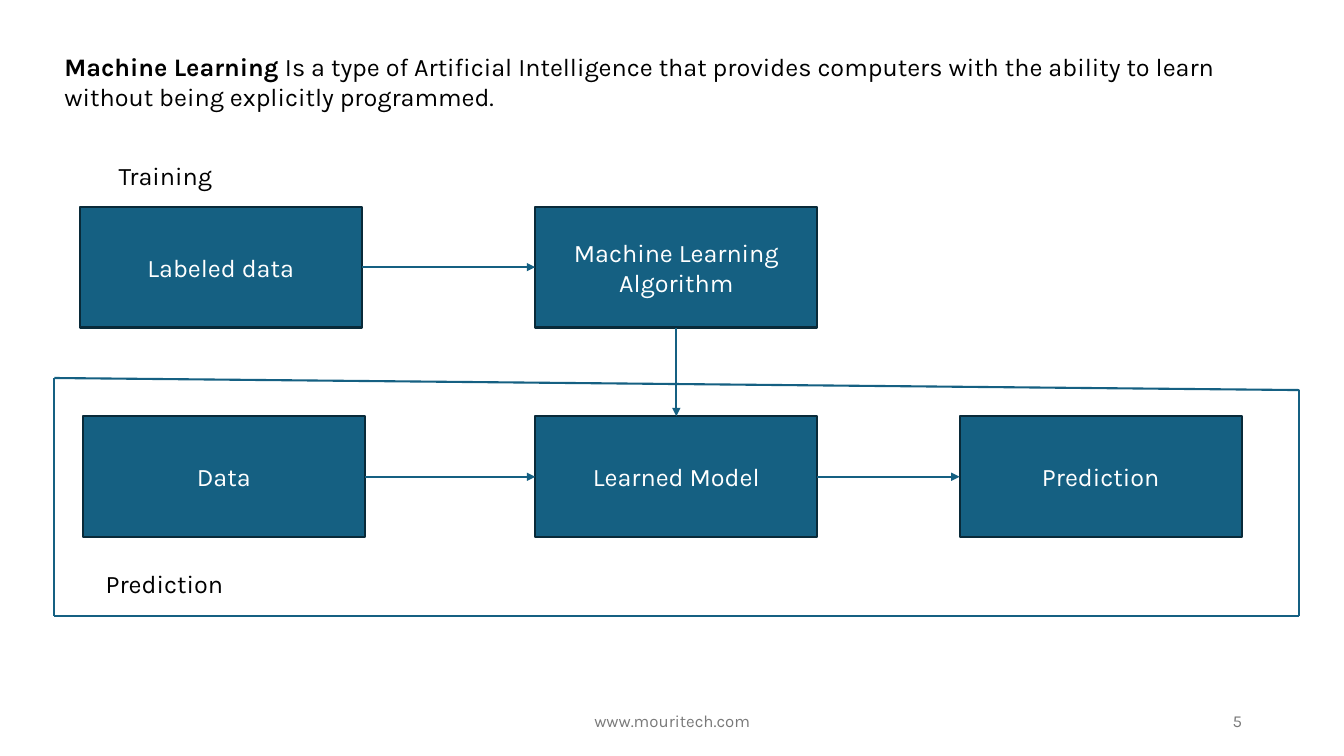
"""Build a slide that shows the training and prediction flow of machine learning."""
from lxml.etree import SubElement
from pptx import Presentation
from pptx.dml.color import RGBColor
from pptx.enum.shapes import MSO_CONNECTOR, MSO_SHAPE
from pptx.enum.text import MSO_ANCHOR as Anchor, PP_ALIGN as Align
from pptx.oxml.ns import qn
from pptx.util import Pt

FONT = "Karla"
BLUE, NAVY, WHITE, BLACK, GREY = "156082", "092A39", "FFFFFF", "000000", "797979"
BOX_WIDTH, BOX_HEIGHT = 201.6, 86.4
TRAINING_TOP, PREDICTION_TOP = 147.6, 297.36
TOP, LEFT, BOTTOM, RIGHT = range(4)

INTRO = [
    ("Machine Learning ", True),
    ("Is a type of Artificial Intelligence that provides computers with the ability "
     "to learn without being explicitly programmed.", False),
]
STEPS = {
    "labeled": ("Labeled data", 56.88, TRAINING_TOP),
    "algorithm": ("Machine Learning Algorithm", 382.32, TRAINING_TOP),
    "data": ("Data", 59.04, PREDICTION_TOP),
    "model": ("Learned Model", 382.32, PREDICTION_TOP),
    "prediction": ("Prediction", 685.44, PREDICTION_TOP),
}
ARROWS = [
    ("labeled", RIGHT, "algorithm", LEFT),
    ("data", RIGHT, "model", LEFT),
    ("algorithm", BOTTOM, "model", TOP),
    ("model", RIGHT, "prediction", LEFT),
]
FRAME = [(38.88, 270), (928.08, 278.64), (928.08, 439.92), (38.88, 439.92)]
LABELS = [
    ("Prediction", (68.4, 402.48, 101.52, 28.8)),
    ("Training", (77.76, 110.88, 138.96, 28.8)),
]
FOOTERS = [
    ("www.mouritech.com", (318.24, 500.4, 324, 28.8), Align.CENTER),
    ("5", (678.24, 500.4, 216, 28.8), Align.RIGHT),
]


def color(value):
    return RGBColor.from_string(value)


def write(shape, spans, size=18, fill=BLACK, align=Align.LEFT, anchor=Anchor.TOP):
    frame = shape.text_frame
    frame.word_wrap = True
    frame.vertical_anchor = anchor
    para = frame.paragraphs[0]
    para.alignment = align
    for text, bold in spans:
        span = para.add_run()
        span.text = text
        span.font.name = FONT
        span.font.size = Pt(size)
        span.font.bold = bold
        span.font.color.rgb = color(fill)


def add_text(page, spans, place, **look):
    write(page.shapes.add_textbox(*map(Pt, place)), spans, **look)


def add_step(page, text, left, top):
    box = page.shapes.add_shape(
        MSO_SHAPE.RECTANGLE, Pt(left), Pt(top), Pt(BOX_WIDTH), Pt(BOX_HEIGHT))
    box.shadow.inherit = False
    box.fill.solid()
    box.fill.fore_color.rgb = color(BLUE)
    box.line.color.rgb = color(NAVY)
    box.line.width = Pt(1.5)
    write(box, [(text, False)], fill=WHITE, align=Align.CENTER, anchor=Anchor.MIDDLE)
    return box


def add_line(page, start=(0, 0), end=(0, 0)):
    line = page.shapes.add_connector(MSO_CONNECTOR.STRAIGHT, *map(Pt, start + end))
    line.line.color.rgb = color(BLUE)
    line.line.width = Pt(1.5)
    SubElement(line._element.spPr, qn("a:effectLst"))
    return line


def add_arrow(page, source, source_side, target, target_side):
    arrow = add_line(page)
    arrow.begin_connect(source, source_side)
    arrow.end_connect(target, target_side)
    SubElement(arrow.line._get_or_add_ln(), qn("a:tailEnd"), type="triangle")


def main():
    deck = Presentation()
    deck.slide_width, deck.slide_height = Pt(960), Pt(540)
    page = deck.slides.add_slide(deck.slide_layouts[6])
    add_text(page, INTRO, (38.88, 33.12, 888.48, 51.12))
    boxes = {name: add_step(page, *step) for name, step in STEPS.items()}
    for source, source_side, target, target_side in ARROWS:
        add_arrow(page, boxes[source], source_side, boxes[target], target_side)
    for start, end in zip(FRAME, FRAME[1:] + FRAME[:1]):
        add_line(page, start, end)
    for text, place in LABELS:
        add_text(page, [(text, False)], place)
    for text, place, align in FOOTERS:
        add_text(page, [(text, False)], place, size=12, fill=GREY, align=align,
                 anchor=Anchor.MIDDLE)
    deck.save("out.pptx")


if __name__ == "__main__":
    main()
